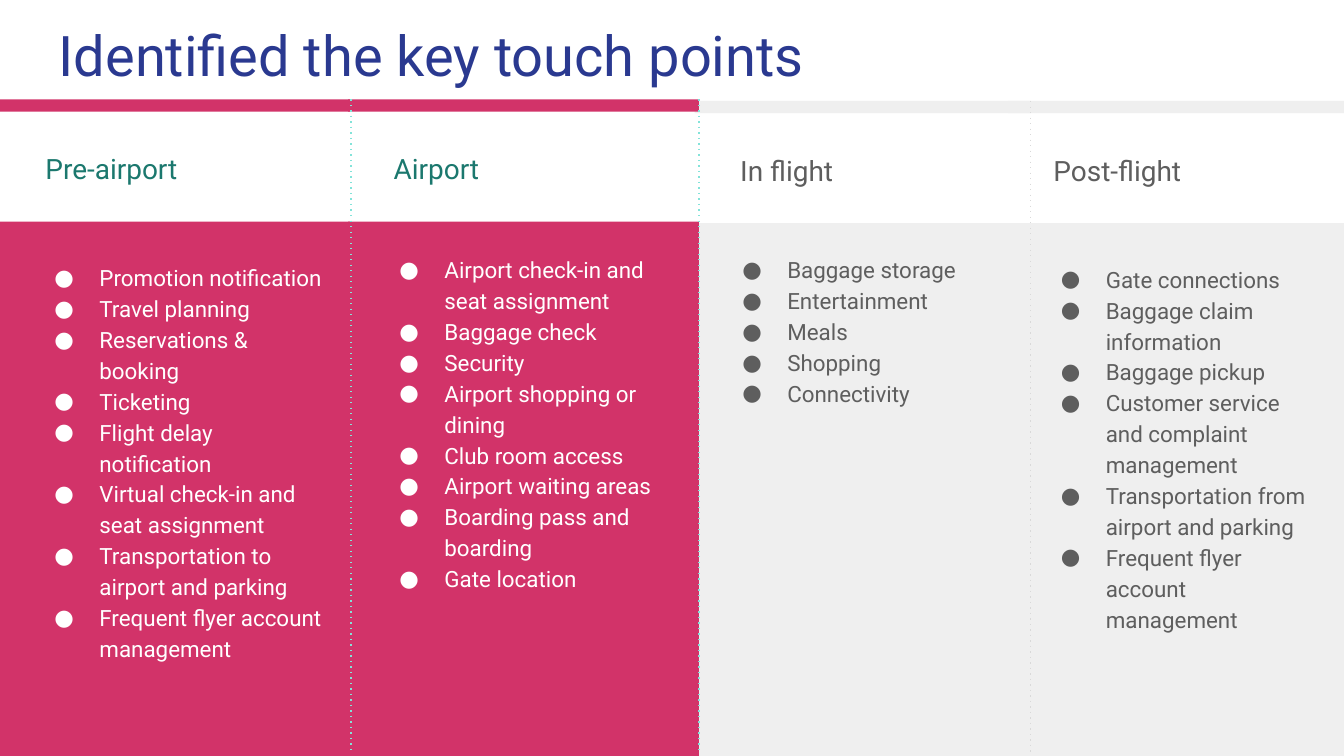
from dataclasses import dataclass

from lxml import etree
from pptx import Presentation
from pptx.dml.color import RGBColor
from pptx.enum.shapes import MSO_CONNECTOR, MSO_SHAPE
from pptx.enum.text import MSO_ANCHOR, MSO_AUTO_SIZE, PP_ALIGN
from pptx.oxml.ns import qn
from pptx.util import Cm, Pt

RECT, LINE = MSO_SHAPE.RECTANGLE, MSO_CONNECTOR.STRAIGHT
TOP, LEFT, FIXED = MSO_ANCHOR.TOP, PP_ALIGN.LEFT, MSO_AUTO_SIZE.NONE

FONT = "Roboto"
WIDE, HIGH = 25.4, 14.29
BAR, HEAD_GAP, BODY_GAP = 0.23, 0.64, 2.31


@dataclass
class Theme:
    top: float
    fill: str
    head: str
    text: str
    rule: str
    filled: bool


PINK = Theme(1.88, "D23369", "1B786E", "FFFFFF", "83E3D9", True)
GREY = Theme(1.91, "EFEFEF", "5E5E5E", "5E5E5E", "D9D9D9", False)


@dataclass
class Stage:
    name: str
    theme: Theme
    left: float
    width: float
    head: float  # width of the heading box
    box: tuple  # left, top, width, height of the list
    items: list


# From back to front
STAGES = [
    Stage("Post-flight", GREY, 19.05, 6.35, 4.06, (19.38, 4.7, 5.79, 9.27), [
        "Gate connections", "Baggage claim information", "Baggage pickup",
        "Customer service and complaint management",
        "Transportation from airport and parking",
        "Frequent flyer account management"]),
    Stage("In flight", GREY, 13.13, 6.35, 4.6, (13.36, 4.52, 5.82, 9.4), [
        "Baggage storage", "Entertainment", "Meals", "Shopping",
        "Connectivity"]),
    Stage("Airport", PINK, 6.58, 6.63, 4.32, (6.88, 4.52, 5.97, 9.35), [
        "Airport check-in and seat assignment", "Baggage check", "Security",
        "Airport shopping or dining", "Club room access",
        "Airport waiting areas", "Boarding pass and boarding",
        "Gate location"]),
    Stage("Pre-airport", PINK, 0, 6.63, 3.68, (0.36, 4.67, 5.99, 9.32), [
        "Promotion notification", "Travel planning", "Reservations & booking",
        "Ticketing", "Flight delay notification",
        "Virtual check-in and seat assignment",
        "Transportation to airport and parking",
        "Frequent flyer account management"]),
]


def rgb(code):
    return RGBColor.from_string(code)


def add_rect(slide, x, y, w, h, color):
    rect = slide.shapes.add_shape(RECT, Cm(x), Cm(y), Cm(w), Cm(h))
    rect.shadow.inherit = False
    rect.fill.solid()
    rect.fill.fore_color.rgb = rgb(color)
    rect.line.fill.background()
    return rect


def add_box(slide, x, y, w, h):
    return slide.shapes.add_textbox(Cm(x), Cm(y), Cm(w), Cm(h))


def set_frame(frame):
    frame.word_wrap = True
    frame.auto_size = FIXED
    frame.vertical_anchor = TOP
    frame.margin_left = frame.margin_right = Cm(0.25)
    frame.margin_top = frame.margin_bottom = Cm(0.25)


def add_run(para, text, size, color):
    para.alignment = LEFT
    run = para.add_run()
    run.text = text
    run.font.name = FONT
    run.font.size = Pt(size)
    run.font.color.rgb = rgb(color)


def set_bullet(para, color):
    props = para._p.get_or_add_pPr()
    props.set("marL", str(Cm(1.27)))
    props.set("indent", str(-Cm(0.85)))
    tint = etree.SubElement(props, qn("a:buClr"))
    etree.SubElement(tint, qn("a:srgbClr"), val=color)
    etree.SubElement(props, qn("a:buFont"), typeface=FONT)
    etree.SubElement(props, qn("a:buChar"), char="●")


def add_title(slide, text):
    title = slide.shapes.title
    title.left, title.top = Cm(0.86), Cm(0.13)
    title.width, title.height = Cm(23.67), Cm(1.6)
    set_frame(title.text_frame)
    add_run(title.text_frame.paragraphs[0], text, 30, "2A3990")


def add_head(slide, stage):
    theme = stage.theme
    box = add_box(slide, stage.left + 0.61, theme.top + HEAD_GAP,
                  stage.head, 1.14)
    set_frame(box.text_frame)
    para = box.text_frame.paragraphs[0]
    para.line_spacing = 1.15
    para.space_after = Pt(16)
    add_run(para, stage.name, 15, theme.head)


def add_list(slide, stage):
    theme = stage.theme
    if theme.filled:
        box = add_rect(slide, *stage.box, theme.fill)
    else:
        box = add_box(slide, *stage.box)
    frame = box.text_frame
    set_frame(frame)
    for i, item in enumerate(stage.items):
        para = frame.add_paragraph() if i else frame.paragraphs[0]
        para.line_spacing = 1.15
        set_bullet(para, theme.text)
        add_run(para, item, 12, theme.text)


def add_rule(slide, x, top, color):
    """Draw a dotted upright divider down to the foot of the slide."""
    rule = slide.shapes.add_connector(LINE, Cm(x), Cm(top), Cm(x), Cm(14.25))
    rule.line.width = Pt(0.75)
    rule.line.color.rgb = rgb(color)
    etree.SubElement(rule.line._get_or_add_ln(), qn("a:prstDash"), val="dot")
    etree.SubElement(rule._element.spPr, qn("a:effectLst"))


def add_stage(slide, stage):
    theme, left, width = stage.theme, stage.left, stage.width
    body = theme.top + BODY_GAP
    add_rect(slide, left, body, width, HIGH - body, theme.fill)
    add_rect(slide, left, theme.top, width, BAR, theme.fill)
    add_head(slide, stage)
    add_list(slide, stage)
    if left + width < WIDE:
        add_rule(slide, left + width, theme.top, theme.rule)


def main():
    deck = Presentation()
    deck.slide_width, deck.slide_height = Cm(WIDE), Cm(HIGH)
    slide = deck.slides.add_slide(deck.slide_layouts[5])
    for stage in STAGES:
        add_stage(slide, stage)
    add_title(slide, "Identified the key touch points")
    deck.save("out.pptx")


if __name__ == "__main__":
    main()
